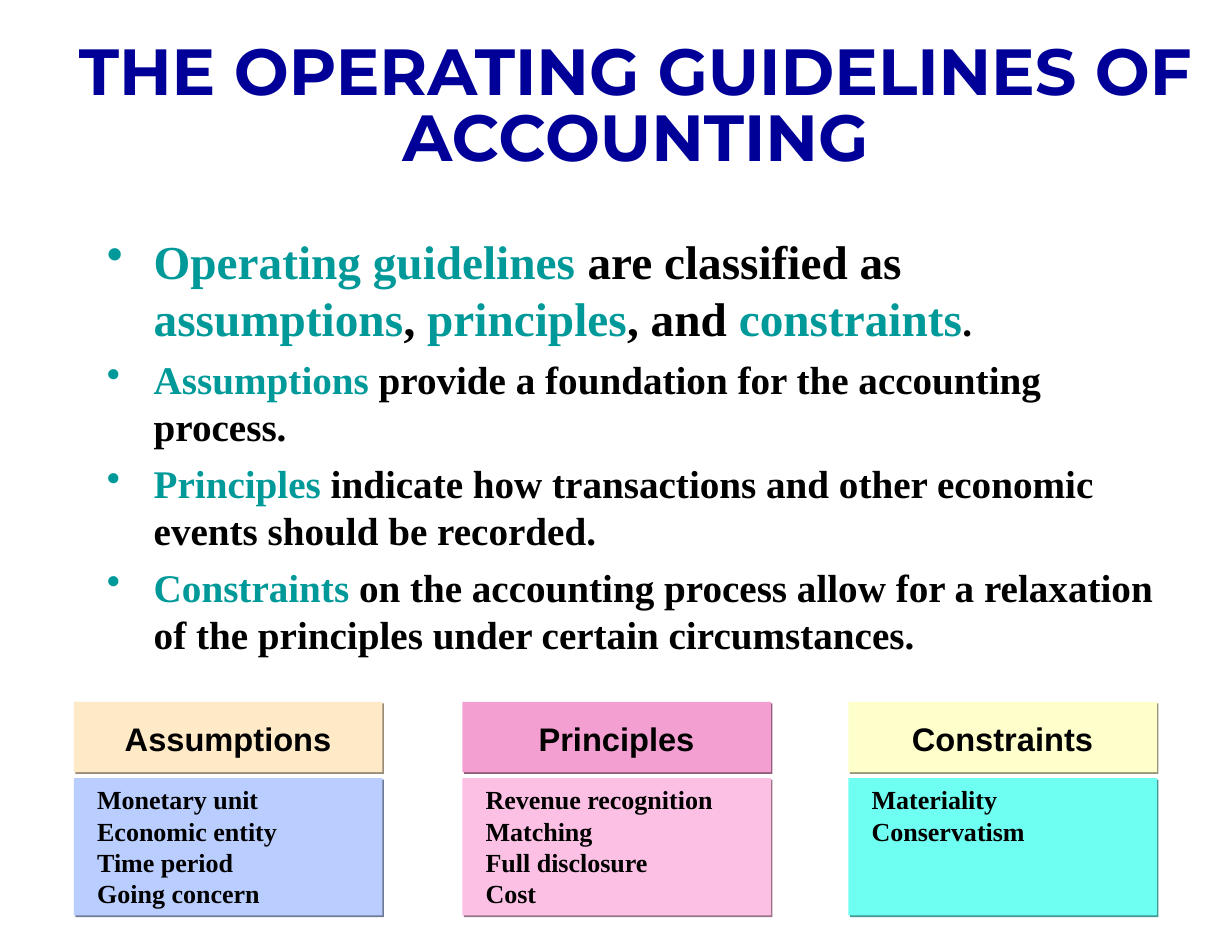
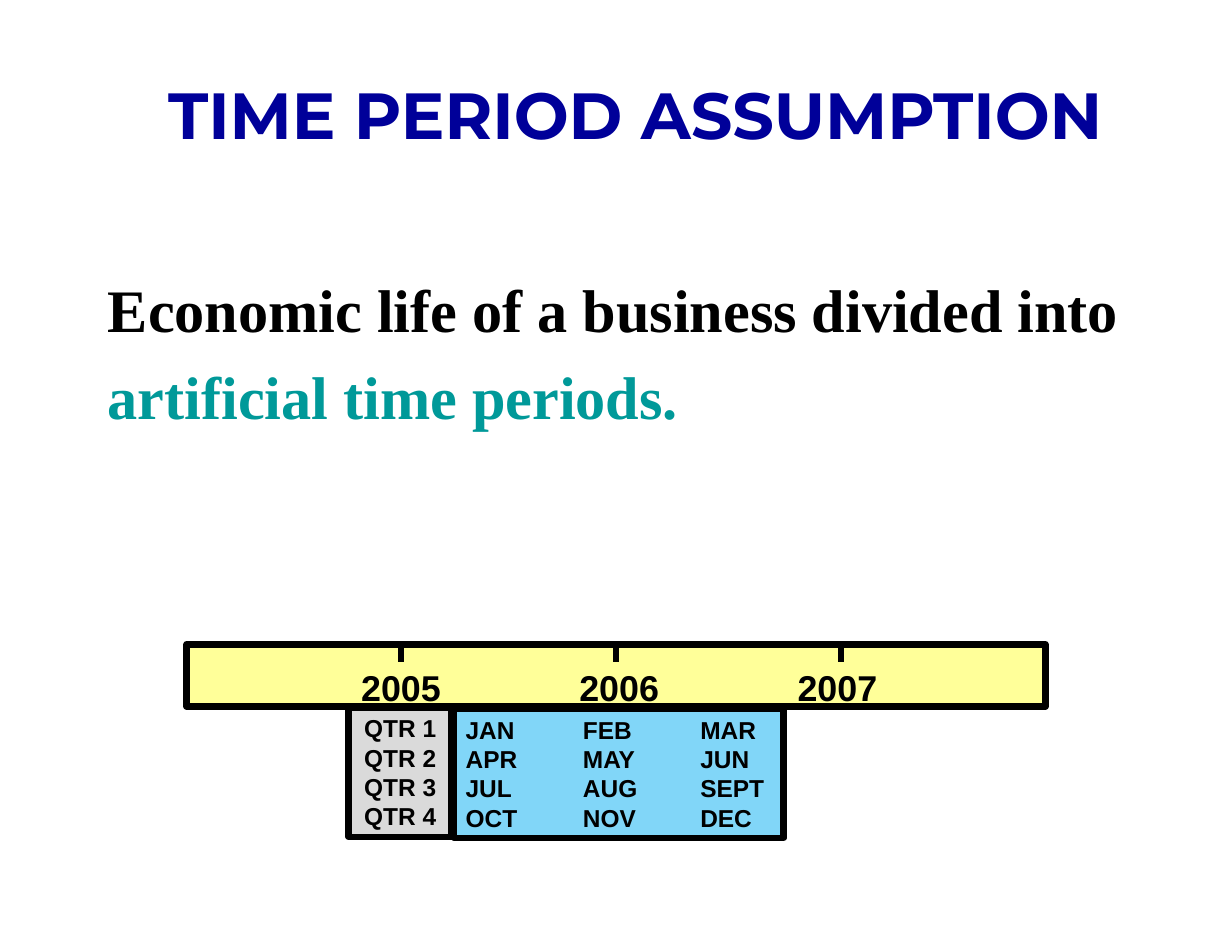
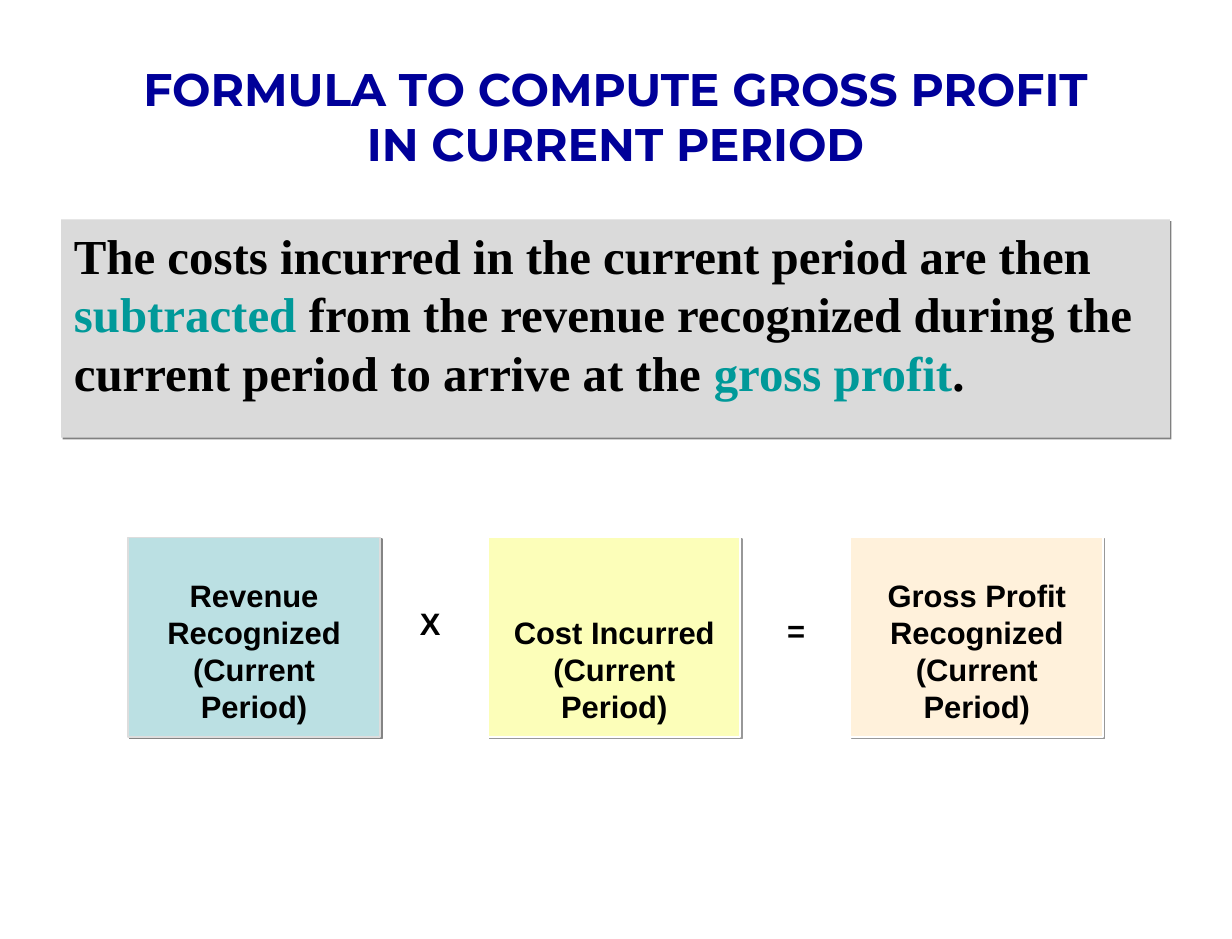
from dataclasses import dataclass
from itertools import count

from lxml import etree
from pptx import Presentation
from pptx.dml.color import RGBColor
from pptx.enum.shapes import MSO_CONNECTOR, MSO_SHAPE
from pptx.enum.text import MSO_ANCHOR, PP_ALIGN
from pptx.oxml.ns import qn
from pptx.util import Inches, Pt


@dataclass(frozen=True)
class Theme:
    navy: str = "000099"
    teal: str = "009999"
    black: str = "000000"
    grey: str = "DADADA"
    text_shadow: str = "808080"
    title_font: str = "Montserrat"
    body_font: str = "Times New Roman"
    label_font: str = "Arial"
    title: int = 40
    small_title: int = 28
    lead: int = 29
    body: int = 24
    statement: int = 37
    definition: int = 30
    card_header: int = 20
    card_list: int = 16
    year: int = 22
    calendar: int = 15
    formula: int = 19
    border: int = 4


THEME = Theme()


def key(text, **extra):
    """A run in the accent colour."""
    return text, {"color": THEME.teal, **extra}


# ---- Content ----
GUIDELINES_TITLE = "THE OPERATING GUIDELINES OF ACCOUNTING"
GUIDELINES = [
    [key("Operating guidelines ", size=THEME.lead),
     ("are classified as ", {"size": THEME.lead}),
     key("assumptions", size=THEME.lead), (", ", {"size": THEME.lead}),
     key("principles", size=THEME.lead), (", and ", {"size": THEME.lead}),
     key("constraints", size=THEME.lead), "."],
    [key("Assumptions"), " provide a foundation for the accounting process."],
    [key("Principles"), " indicate how transactions and other economic events should be recorded."],
    [key("Constraints"), " on the accounting process allow for a relaxation of the principles "
                         "under certain circumstances."],
]
# left, header, header fill, header shadow, items, list fill, list shadow
GUIDELINE_CARDS = [
    (0.63, "Assumptions", "FFEAC8", "988B77",
     ["Monetary unit", "Economic entity", "Time period", "Going concern"], "B9CDFF", "6E7A98"),
    (3.94, "Principles", "F39FD1", "915F7C",
     ["Revenue recognition", "Matching", "Full disclosure", "Cost"], "FDC0E5", "977288"),
    (7.23, "Constraints", "FFFFCC", "989879",
     ["Materiality", "Conservatism"], "6FFFF2", "429890"),
]

PERIOD_TITLE = "TIME PERIOD ASSUMPTION"
PERIOD_STATEMENT = ["Economic life of a business divided into", [key("artificial time periods.")]]
YEARS = ["2005", "2006", "2007"]
YEAR_TICKS = [3.42, 5.25, 7.17]
QUARTERS = {
    "QTR 1": ["JAN", "FEB", "MAR"],
    "QTR 2": ["APR", "MAY", "JUN"],
    "QTR 3": ["JUL", "AUG", "SEPT"],
    "QTR 4": ["OCT", "NOV", "DEC"],
}

PROFIT_TITLE = "FORMULA TO COMPUTE GROSS PROFIT\nIN CURRENT PERIOD"
PROFIT_TEXT = [[
    "The costs incurred in the current period are then ", key("subtracted"),
    " from the revenue recognized during the current period to arrive at the ",
    key("gross profit"), ".",
]]
# left, lines, fill, line colour, shadow
FORMULA_CARDS = [
    (1.09, ["Revenue", "Recognized", "(Current", "Period)"], "BBE0E3", "DDDDDD", "848484"),
    (4.16, ["Cost Incurred", "(Current", "Period)"], "FCFEB9", "FFFFFF", "989898"),
    (7.25, ["Gross Profit", "Recognized", "(Current", "Period)"], "FFF1DB", "FFFFFF", "989898"),
]
OPERATORS = [("X", (3.48, 5.1, 0.37, 0.41)), ("=", (6.61, 5.16, 0.35, 0.41))]


# ---- Drawing helpers ----
def child(parent, tag, **attributes):
    return etree.SubElement(parent, qn(tag), {name: str(value) for name, value in attributes.items()})


def fill_shadow(effects, color):
    shadow = child(effects, "a:outerShdw", dist=Pt(1.4), dir=45 * 60000, algn="ctr", rotWithShape=0)
    child(shadow, "a:srgbClr", val=color)


def add_box(slide, box, fill, line=None, line_width=1, shadow=None):
    shape = slide.shapes.add_shape(MSO_SHAPE.RECTANGLE, *map(Inches, box))
    shape.shadow.inherit = False
    shape.fill.solid()
    shape.fill.fore_color.rgb = RGBColor.from_string(fill)
    if line:
        shape.line.color.rgb = RGBColor.from_string(line)
        shape.line.width = Pt(line_width)
    else:
        shape.line.fill.background()
    if shadow:
        fill_shadow(shape._element.spPr.find(qn("a:effectLst")), shadow)
    return shape


def add_tick(slide, x, top, bottom):
    tick = slide.shapes.add_connector(
        MSO_CONNECTOR.STRAIGHT, *map(Inches, (x, top, x, bottom)))
    tick.line.color.rgb = RGBColor.from_string(THEME.black)
    tick.line.width = Pt(THEME.border)
    child(tick._element.spPr, "a:effectLst")


def add_run(paragraph, text, font, size, color, shadow):
    run = paragraph.add_run()
    run.text = text
    run.font.name, run.font.size, run.font.bold = font, Pt(size), True
    run.font.color.rgb = RGBColor.from_string(color)
    if shadow:
        properties = run.font._element
        effects = child(properties, "a:effectLst")
        fill_shadow(effects, shadow)
        properties.find(qn("a:solidFill")).addnext(effects)


def write(shape, paragraphs, font=THEME.label_font, size=THEME.body, color=THEME.black,
          align=PP_ALIGN.LEFT, anchor=MSO_ANCHOR.TOP, inset=0.1, wrap=True, before=0,
          line_spacing=None, bullet=False, tabs=(), shadow=None):
    """Fill a shape; a paragraph is a string or a list of strings and (text, format) runs."""
    frame = shape.text_frame
    frame.word_wrap, frame.vertical_anchor = wrap, anchor
    frame.margin_left = frame.margin_right = Inches(inset)
    frame.margin_top = frame.margin_bottom = Inches(0.05)
    for index, runs in enumerate(paragraphs):
        paragraph = frame.add_paragraph() if index else frame.paragraphs[0]
        paragraph.alignment = align
        if index and before:
            paragraph.space_before = Pt(before)
        if line_spacing:
            paragraph.line_spacing = line_spacing
        properties = paragraph._p.get_or_add_pPr()
        if bullet:
            properties.set("marL", str(Inches(0.4)))
            properties.set("indent", str(Inches(-0.4)))
            child(child(properties, "a:buClr"), "a:srgbClr", val=THEME.teal)
            child(properties, "a:buChar", char="•")
        if tabs:
            stops = child(properties, "a:tabLst")
            for stop in tabs:
                child(stops, "a:tab", pos=Inches(stop), algn="l")
        for run in [runs] if isinstance(runs, str) else runs:
            text, changes = (run, {}) if isinstance(run, str) else run
            style = {"font": font, "size": size, "color": color, "shadow": shadow, **changes}
            for part_index, part in enumerate(text.split("\n")):
                if part_index:
                    paragraph.add_line_break()
                add_run(paragraph, part, **style)


def add_text(slide, box, paragraphs, **style):
    write(slide.shapes.add_textbox(*map(Inches, box)), paragraphs, **style)


def add_title(slide, box, text, **style):
    style = {"size": THEME.title, "anchor": MSO_ANCHOR.MIDDLE, **style}
    add_text(slide, box, [text], font=THEME.title_font, color=THEME.navy,
             align=PP_ALIGN.CENTER, **style)


# ---- Slides ----
def build_guidelines(slide):
    width, header_top, list_top = 2.63, 5.98, 6.63
    for left, header, header_fill, header_shadow, items, list_fill, list_shadow in GUIDELINE_CARDS:
        add_box(slide, (left, list_top, width, 1.17), list_fill, shadow=list_shadow)
        add_box(slide, (left, header_top, width, 0.6), header_fill, shadow=header_shadow)
        add_text(slide, (left, header_top + 0.1, width, 0.43), [header],
                 size=THEME.card_header, align=PP_ALIGN.CENTER)
        add_text(slide, (left + 0.1, list_top, 2.22, 1.16), items,
                 font=THEME.body_font, size=THEME.card_list)
    add_text(slide, (0.8, 1.93, 9.18, 3.88), GUIDELINES, font=THEME.body_font,
             inset=0.11, before=6, bullet=True)
    add_title(slide, (0, 0.36, 10.83, 1.13), GUIDELINES_TITLE, inset=0.11, line_spacing=0.85)


def build_time_period(slide):
    border = {"line": THEME.black, "line_width": THEME.border}
    add_text(slide, (0.81, 2.27, 8.92, 2.62), PERIOD_STATEMENT, font=THEME.body_font,
             size=THEME.statement, inset=0.11, before=9.2)
    quarters = add_box(slide, (2.97, 6.03, 0.88, 1.1), THEME.grey, **border)
    write(quarters, QUARTERS, size=THEME.calendar, align=PP_ALIGN.CENTER)
    add_box(slide, (1.59, 5.49, 7.32, 0.53), "FFFF99", **border)
    add_text(slide, (2.98, 5.62, 4.84, 0.46), ["\t".join(YEARS)], size=THEME.year,
             tabs=(1.86, 3.72))
    for x in YEAR_TICKS:
        add_tick(slide, x, 5.51, 5.64)
    months = add_box(slide, (3.87, 6.04, 2.81, 1.1), "81D6F8", **border)
    write(months, ["\t".join(row) for row in QUARTERS.values()], size=THEME.calendar,
          tabs=(1, 2))
    add_title(slide, (1, 0.58, 8.83, 0.76), PERIOD_TITLE, anchor=MSO_ANCHOR.TOP,
              shadow=THEME.text_shadow)


def build_gross_profit(slide):
    width, text_bottom, line_height = 2.15, 6.22, 0.315
    add_title(slide, (0.52, 0.32, 9.45, 1.33), PROFIT_TITLE, size=THEME.small_title, inset=0.11)
    for left, lines, fill, line, shadow in FORMULA_CARDS:
        add_box(slide, (left, 4.58, width, 1.7), fill, line=line, shadow=shadow)
        height = 0.1 + len(lines) * line_height
        add_text(slide, (left, text_bottom - height, width, height), lines,
                 size=THEME.formula, align=PP_ALIGN.CENTER)
    for symbol, box in OPERATORS:
        add_text(slide, box, [symbol], size=THEME.formula, align=PP_ALIGN.CENTER, wrap=False)
    panel = add_box(slide, (0.52, 1.87, 9.45, 1.86), THEME.grey, shadow="808080")
    write(panel, PROFIT_TEXT, font=THEME.body_font, size=THEME.definition, inset=0.11)


def main():
    presentation = Presentation()
    presentation.slide_width, presentation.slide_height = Inches(10.5), Inches(8)
    blank = presentation.slide_layouts[6]
    for build in (build_guidelines, build_time_period, build_gross_profit):
        build(presentation.slides.add_slide(blank))
    presentation.save("out.pptx")


if __name__ == "__main__":
    main()
